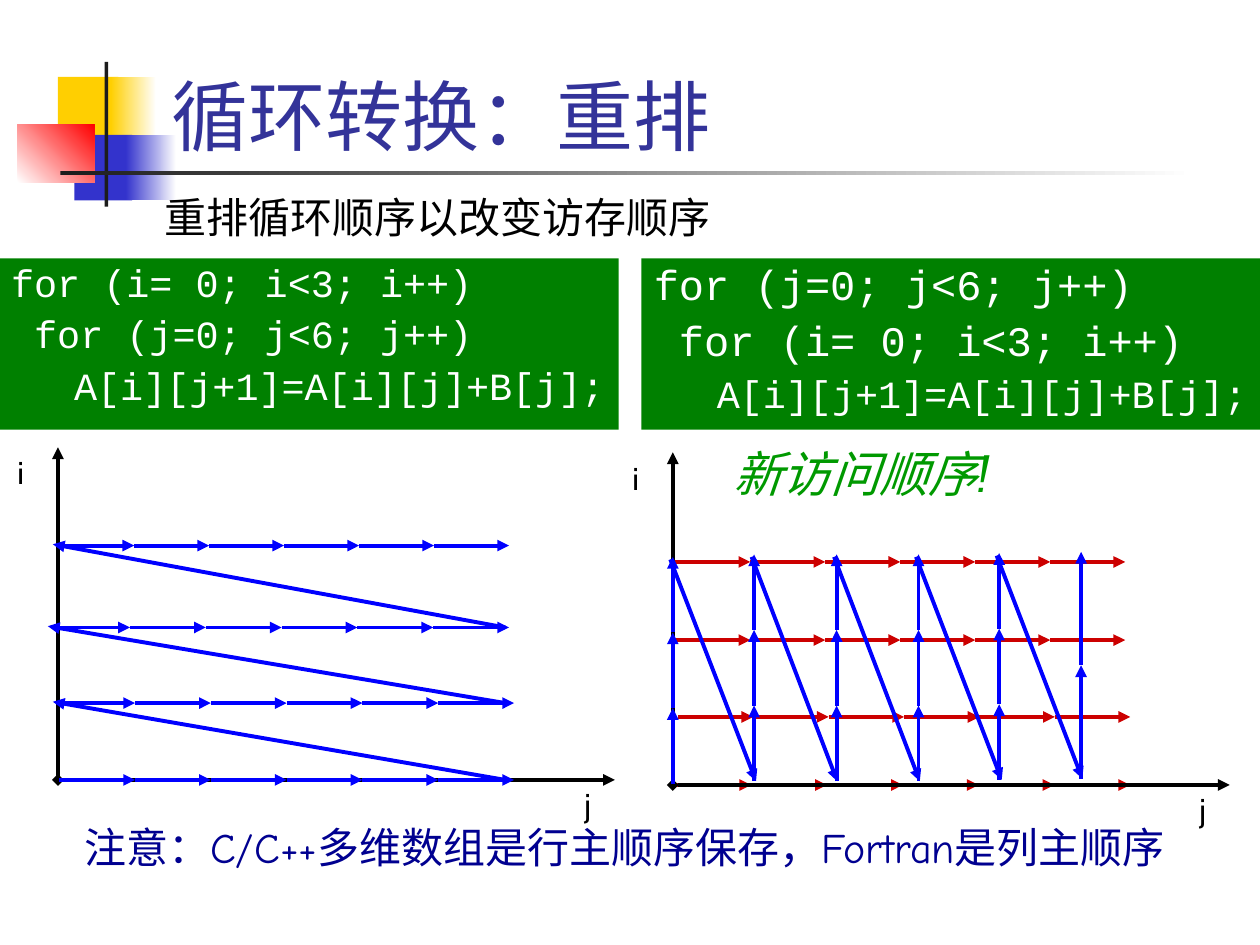
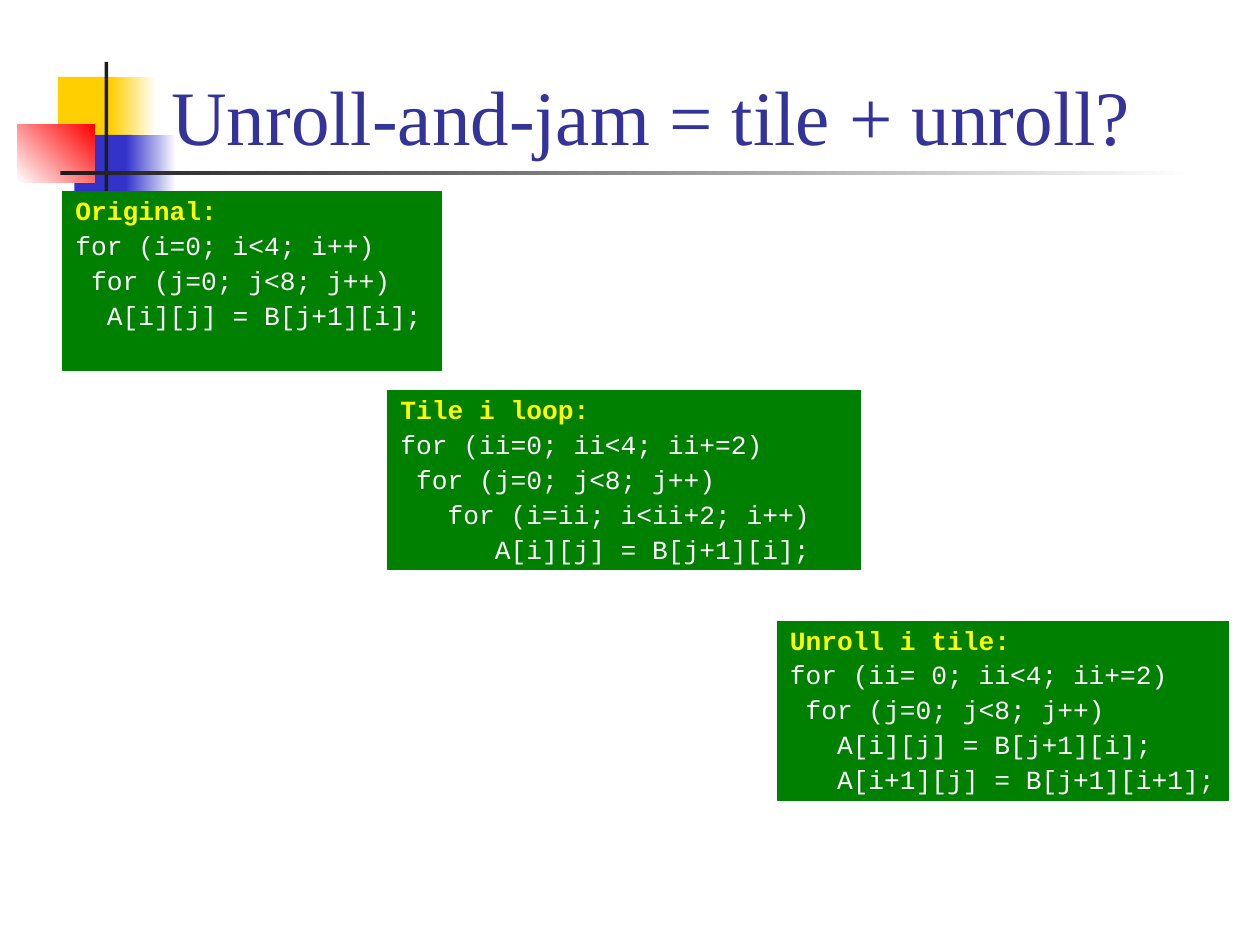
from dataclasses import dataclass
from typing import NamedTuple, Optional

import lxml.etree
import pptx
import pptx.dml.color
import pptx.enum.shapes
import pptx.enum.text
import pptx.oxml.ns
import pptx.slide
import pptx.util

COLUMNS, ROWS = 100, 75
SLIDE_WIDTH, SLIDE_HEIGHT = pptx.util.Inches(10), pptx.util.Inches(7.5)


@dataclass(frozen=True)
class Theme:
    title_font: str = "Times New Roman"
    code_font: str = "Courier New"
    label_font: str = "Cabin"
    note_font: str = "Comic Neue"
    title: str = "333399"
    code_fill: str = "008000"
    code_text: str = "FFFFFF"
    code_heading: str = "FFFF00"
    axis: str = "000000"
    visit: str = "0000FF"
    old_visit: str = "CC0000"
    highlight: str = "009900"
    note: str = "000090"
    yellow: str = "FFCF01"
    blue: str = "3333CC"
    red: str = "FF0000"
    dark: str = "1C1C1C"
    white: str = "FFFFFF"
    title_size: float = 44
    highlight_size: float = 28
    note_size: float = 24
    label_size: float = 18
    large_code: float = 24
    code: float = 22
    small_code: float = 15
    line_width: float = 2.25
    code_outline: float = 0.75


THEME = Theme()


class Box(NamedTuple):
    """Left, top, width and height in grid columns and rows."""
    left: float
    top: float
    width: float
    height: float


class Point(NamedTuple):
    column: float
    row: float


class Band(NamedTuple):
    box: Box
    start: str
    end: Optional[str] = None
    angle: float = 0


class CodeLine(NamedTuple):
    text: str
    size: float
    color: str = THEME.code_text
    bold: bool = False
    margin: float = 3.8
    hanging: float = 3.8


class VisitRow(NamedTuple):
    """A row of equal arrows along j."""
    start: float
    end: float
    row: float


class VisitColumn(NamedTuple):
    """A column of equal arrows along i."""
    column: float
    bottom: float
    steps: int = 3


BANDS = [
    Band(Box(4.6, 6.1, 4.8, 5.2), THEME.yellow),
    Band(Box(8.8, 6.1, 3.6, 5.2), THEME.yellow, THEME.white),
    Band(Box(5.9, 10.7, 4.6, 5.2), THEME.blue),
    Band(Box(10, 10.7, 4, 5.2), THEME.blue, THEME.white),
    Band(Box(1.4, 9.9, 6.1, 4.6), THEME.white, THEME.red, 45),
    Band(Box(8.3, 4.9, 0.3, 11.5), THEME.dark),
    Band(Box(4.8, 13.6, 90, 0.3), THEME.dark, THEME.white),
]
TITLE_BOX = Box(12.6, 0.8, 85.2, 12.5)

STEPS_PER_ROW = 6
COLUMN_HEIGHT = 18
ROW_MAJOR = [VisitRow(4.7, 40.8, 61.9), VisitRow(4.7, 40.8, 55.8),
             VisitRow(4.3, 40.4, 49.8), VisitRow(4.7, 40.4, 43.3)]
OLD_ROWS = [VisitRow(53.6, 89.7, 62.3), VisitRow(53.8, 89.7, 56.9),
            VisitRow(53.6, 89.3, 50.8), VisitRow(53.6, 89.3, 44.6)]
COLUMN_MAJOR = [VisitColumn(53.4, 62.2), VisitColumn(59.85, 62),
                VisitColumn(66.4, 62), VisitColumn(72.9, 62),
                VisitColumn(79.3, 61.9), VisitColumn(85.8, 61.8, 2)]


def col(count: float) -> int:
    return round(SLIDE_WIDTH * count / COLUMNS)


def row(count: float) -> int:
    return round(SLIDE_HEIGHT * count / ROWS)


def place(box: Box) -> tuple[int, int, int, int]:
    return col(box.left), row(box.top), col(box.width), row(box.height)


def rgb(color: str) -> pptx.dml.color.RGBColor:
    return pptx.dml.color.RGBColor.from_string(color)


def add_run(paragraph, text: str, font: str, size: float, color: str,
            bold: bool = False, italic: bool = False) -> None:
    run = paragraph.add_run()
    run.text = text
    run.font.name = font
    run.font.size = pptx.util.Pt(size)
    run.font.color.rgb = rgb(color)
    run.font.bold = bold
    run.font.italic = italic


def add_rectangle(slide: pptx.slide.Slide, box: Box):
    rectangle = slide.shapes.add_shape(
        pptx.enum.shapes.MSO_SHAPE.RECTANGLE, *place(box))
    rectangle.shadow.inherit = False
    rectangle.line.fill.background()
    return rectangle


def add_band(slide: pptx.slide.Slide, band: Band) -> None:
    fill = add_rectangle(slide, band.box).fill
    if band.end is None:
        fill.solid()
        fill.fore_color.rgb = rgb(band.start)
        return
    fill.gradient()
    fill.gradient_angle = band.angle
    for stop, color in zip(fill.gradient_stops, (band.start, band.end)):
        stop.color.rgb = rgb(color)


def add_titled_slide(deck, heading: str) -> pptx.slide.Slide:
    slide = deck.slides.add_slide(deck.slide_layouts.get_by_name("Title Only"))
    for band in BANDS:
        add_band(slide, band)
    title = slide.shapes.title
    slide.shapes.element.append(title.element)  # text stays above the bands
    title.left, title.top, title.width, title.height = place(TITLE_BOX)
    frame = title.text_frame
    frame.auto_size = pptx.enum.text.MSO_AUTO_SIZE.NONE
    frame.vertical_anchor = pptx.enum.text.MSO_ANCHOR.BOTTOM
    frame.paragraphs[0].alignment = pptx.enum.text.PP_ALIGN.LEFT
    add_run(frame.paragraphs[0], heading, THEME.title_font,
            THEME.title_size, THEME.title)
    return slide


def add_label(slide: pptx.slide.Slide, box: Box, text: str, font: str,
              size: float, color: str, italic: bool = False,
              wrap: bool = True) -> None:
    frame = slide.shapes.add_textbox(*place(box)).text_frame
    frame.word_wrap = wrap
    add_run(frame.paragraphs[0], text, font, size, color, italic=italic)


def add_code(slide: pptx.slide.Slide, box: Box, lines: list[CodeLine],
             outlined: bool = False) -> None:
    panel = add_rectangle(slide, box)
    panel.fill.solid()
    panel.fill.fore_color.rgb = rgb(THEME.code_fill)
    if outlined:
        panel.line.color.rgb = rgb(THEME.code_fill)
        panel.line.width = pptx.util.Pt(THEME.code_outline)
    frame = panel.text_frame
    frame.word_wrap = True
    frame.margin_right = 0
    frame.vertical_anchor = pptx.enum.text.MSO_ANCHOR.TOP
    for index, line in enumerate(lines):
        paragraph = frame.add_paragraph() if index else frame.paragraphs[0]
        paragraph.alignment = pptx.enum.text.PP_ALIGN.LEFT
        paragraph.line_spacing = 0.9
        if index:
            paragraph.space_before = pptx.util.Pt(line.size * 0.25)
        properties = paragraph._p.get_or_add_pPr()
        properties.set("marL", str(col(line.margin)))
        properties.set("indent", str(-col(line.hanging)))
        add_run(paragraph, line.text, THEME.code_font, line.size, line.color,
                line.bold)


def add_arrow(slide: pptx.slide.Slide, start: Point, end: Point, color: str,
              head: Optional[str] = None) -> None:
    """Draw a line with a triangle at its end and, if given, a head at its start."""
    arrow = slide.shapes.add_connector(
        pptx.enum.shapes.MSO_CONNECTOR.STRAIGHT,
        col(start.column), row(start.row), col(end.column), row(end.row))
    arrow.line.color.rgb = rgb(color)
    arrow.line.width = pptx.util.Pt(THEME.line_width)
    properties = arrow.element.spPr
    outline = properties.find(pptx.oxml.ns.qn("a:ln"))
    for tag, kind in (("a:headEnd", head), ("a:tailEnd", "triangle")):
        if kind:
            lxml.etree.SubElement(outline, pptx.oxml.ns.qn(tag), type=kind)
    lxml.etree.SubElement(properties, pptx.oxml.ns.qn("a:effectLst"))


def add_axes(slide: pptx.slide.Slide, origin: Point) -> None:
    add_arrow(slide, origin, Point(origin.column, origin.row - 26.4), THEME.axis)
    add_arrow(slide, origin, Point(origin.column + 44.2, origin.row),
              THEME.axis, "diamond")
    for name, right, down in (("i", -4.2, -26.4), ("j", 40.8, -0.1)):
        add_label(slide, Box(origin.column + right, origin.row + down, 3.8, 5),
                  name, THEME.label_font, THEME.label_size, THEME.axis)


def add_visit_row(slide: pptx.slide.Slide, visits: VisitRow, color: str) -> None:
    step = (visits.end - visits.start) / STEPS_PER_ROW
    for index in range(STEPS_PER_ROW):
        left = visits.start + index * step
        add_arrow(slide, Point(left, visits.row),
                  Point(left + step, visits.row), color)


def add_visit_column(slide: pptx.slide.Slide, visits: VisitColumn) -> None:
    step = COLUMN_HEIGHT / visits.steps
    for index in range(visits.steps):
        bottom = visits.bottom - index * step
        add_arrow(slide, Point(visits.column, bottom),
                  Point(visits.column, bottom - step), THEME.visit)


def add_row_major_order(slide: pptx.slide.Slide) -> None:
    add_axes(slide, Point(4.6, 61.9))
    for below, above in zip(ROW_MAJOR, ROW_MAJOR[1:]):
        add_arrow(slide, Point(40.1, below.row),
                  Point(above.start - 0.5, above.row - 0.1), THEME.visit)
    for visits in ROW_MAJOR:
        add_visit_row(slide, visits, THEME.visit)


def add_column_major_order(slide: pptx.slide.Slide) -> None:
    for visits in OLD_ROWS:
        add_visit_row(slide, visits, THEME.old_visit)
    add_axes(slide, Point(53.4, 62.3))
    for visits in COLUMN_MAJOR:
        add_visit_column(slide, visits)
    for current, following in zip(COLUMN_MAJOR, COLUMN_MAJOR[1:]):
        left = current.column - 0.2
        add_arrow(slide, Point(left, current.bottom - COLUMN_HEIGHT + 0.2),
                  Point(left + 6.8, following.bottom), THEME.visit)


def build_reordering(deck) -> None:
    slide = add_titled_slide(deck, "循环转换：重排")
    inner = CodeLine("A[i][j+1]=A[i][j]+B[j];", THEME.code,
                     margin=8.1, hanging=3.1)
    add_code(slide, Box(50.9, 20.5, 49.1, 13.6), [
        CodeLine("for (j=0; j<6; j++)", THEME.large_code),
        CodeLine(" for (i= 0; i<3; i++)", THEME.large_code), inner])
    add_code(slide, Box(-0.1, 20.5, 49.2, 13.6), [
        CodeLine("for (i= 0; i<3; i++)", THEME.code),
        CodeLine(" for (j=0; j<6; j++)", THEME.code), inner])
    add_row_major_order(slide)
    add_column_major_order(slide)
    add_label(slide, Box(57.2, 34.7, 23, 5.7), "新访问顺序!", THEME.label_font,
              THEME.highlight_size, THEME.highlight, italic=True, wrap=False)
    add_label(slide, Box(12.1, 14.7, 45.8, 5), "重排循环顺序以改变访存顺序",
              THEME.note_font, THEME.note_size, THEME.axis, wrap=False)
    add_label(slide, Box(5.7, 64.7, 91.6, 5),
              "注意：C/C++多维数组是行主顺序保存，Fortran是列主顺序",
              THEME.note_font, THEME.note_size, THEME.note)


def build_unroll_and_jam(deck) -> None:
    slide = add_titled_slide(deck, "Unroll-and-jam = tile + unroll?")
    stages = [
        (Box(61.7, 49.3, 35.8, 14.2), "Unroll i tile:", [
            "for (ii= 0; ii<4; ii+=2)", " for (j=0; j<8; j++)",
            "   A[i][j] = B[j+1][i];", "   A[i+1][j] = B[j+1][i+1];"]),
        (Box(5, 15.2, 30, 14.2), "Original:", [
            "for (i=0; i<4; i++)", " for (j=0; j<8; j++)",
            "  A[i][j] = B[j+1][i];"]),
        (Box(30.8, 31, 37.5, 14.2), "Tile i loop:", [
            "for (ii=0; ii<4; ii+=2)", " for (j=0; j<8; j++)",
            "   for (i=ii; i<ii+2; i++)", "      A[i][j] = B[j+1][i];"]),
    ]
    for box, heading, statements in stages:
        lines = [CodeLine(heading, THEME.small_code, THEME.code_heading, True)]
        lines += [CodeLine(text, THEME.small_code) for text in statements]
        add_code(slide, box, lines, outlined=True)


def main() -> None:
    deck = pptx.Presentation()
    deck.slide_width, deck.slide_height = SLIDE_WIDTH, SLIDE_HEIGHT
    build_reordering(deck)
    build_unroll_and_jam(deck)
    deck.save("out.pptx")


if __name__ == "__main__":
    main()
